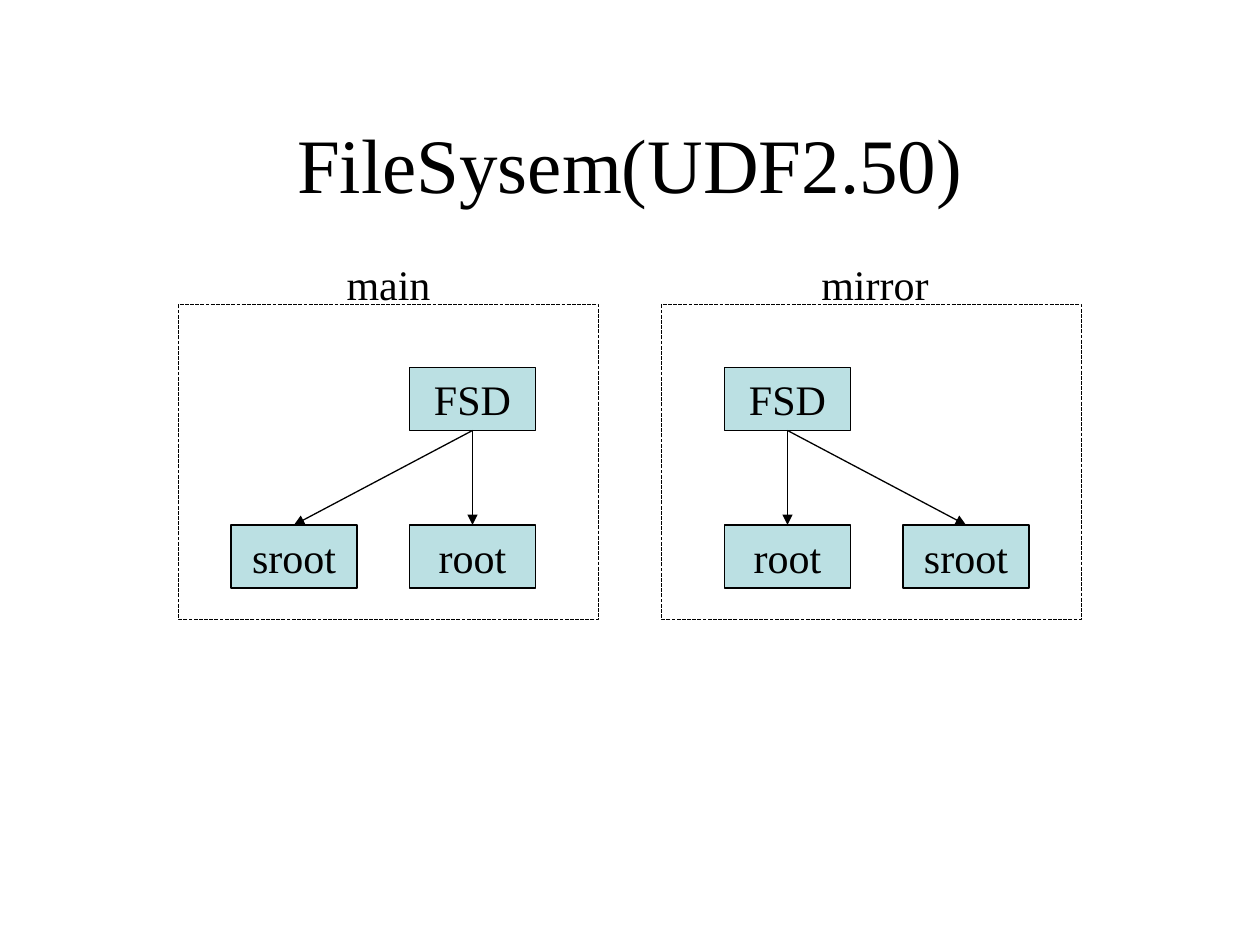
"""Build a slide of the main and mirror file system trees."""
from dataclasses import dataclass

from pptx import Presentation
from pptx.dml.color import RGBColor
from pptx.enum.dml import MSO_LINE
from pptx.enum.shapes import MSO_CONNECTOR, MSO_SHAPE
from pptx.enum.text import MSO_ANCHOR, MSO_AUTO_SIZE, PP_ALIGN
from pptx.oxml.ns import qn
from pptx.util import Pt
from lxml import etree

RECT = MSO_SHAPE.RECTANGLE
LINE = MSO_CONNECTOR.STRAIGHT
DASH = MSO_LINE.SQUARE_DOT
MID = MSO_ANCHOR.MIDDLE
TOP = MSO_ANCHOR.TOP
GROW = MSO_AUTO_SIZE.SHAPE_TO_FIT_TEXT
CENTER = PP_ALIGN.CENTER


@dataclass(frozen=True)
class Theme:
    font: str = "Times New Roman"
    ink: RGBColor = RGBColor(0, 0, 0)
    fill: RGBColor = RGBColor(0xBB, 0xE0, 0xE3)
    head: int = 44
    text: int = 24
    line: float = 0.75


THEME = Theme()
TITLE = "FileSysem(UDF2.50)"
ROOT = "FSD"
TREES = [
    {"name": "main", "left": 102, "label": (88, 64), "trunk": 132,
     "kids": [("sroot", 30), ("root", 132)]},
    {"name": "mirror", "left": 378, "label": (83, 78), "trunk": 36,
     "kids": [("root", 36), ("sroot", 138)]},
]
FRAME_W, FRAME_H, FRAME_Y = 240, 180, 174
BOX_W, BOX_H = 72, 36
ROOT_Y, KID_Y = FRAME_Y + 36, FRAME_Y + 126
LABEL_Y = FRAME_Y - 30


def write(shape, text, size, anchor=MID, wrap=False):
    frame = shape.text_frame
    frame.text = text
    frame.word_wrap = wrap
    frame.vertical_anchor = anchor
    para = frame.paragraphs[0]
    para.alignment = CENTER
    para.font.name = THEME.font
    para.font.size = Pt(size)
    para.font.color.rgb = THEME.ink


def stroke(shape):
    shape.line.color.rgb = THEME.ink
    shape.line.width = Pt(THEME.line)


def rect(slide, *place):
    shape = slide.shapes.add_shape(RECT, *map(Pt, place))
    shape.shadow.inherit = False
    stroke(shape)
    return shape


def box(slide, text, left, top):
    shape = rect(slide, left, top, BOX_W, BOX_H)
    shape.fill.solid()
    shape.fill.fore_color.rgb = THEME.fill
    write(shape, text, THEME.text)
    return shape


def arrow(slide, start, end):
    link = slide.shapes.add_connector(LINE, 0, 0, 0, 0)
    link.begin_connect(start, 2)
    link.end_connect(end, 0)
    stroke(link)
    etree.SubElement(link.line._get_or_add_ln(), qn("a:tailEnd"), type="triangle")
    etree.SubElement(link._element.spPr, qn("a:effectLst"))


def draw(slide, tree):
    left = tree["left"]
    frame = rect(slide, left, FRAME_Y, FRAME_W, FRAME_H)
    frame.fill.background()
    frame.line.dash_style = DASH

    shift, wide = tree["label"]
    place = (left + shift, LABEL_Y, wide, 36)
    label = slide.shapes.add_textbox(*map(Pt, place))
    write(label, tree["name"], THEME.text, TOP)
    label.text_frame.auto_size = GROW

    root = box(slide, ROOT, left + tree["trunk"], ROOT_Y)
    for name, shift in tree["kids"]:
        arrow(slide, root, box(slide, name, left + shift, KID_Y))


def main():
    deck = Presentation()
    deck.slide_width, deck.slide_height = Pt(720), Pt(540)
    slide = deck.slides.add_slide(deck.slide_layouts[5])
    title = slide.shapes.title
    title.left, title.top, title.width, title.height = map(Pt, (54, 48, 612, 90))
    write(title, TITLE, THEME.head, wrap=True)
    for tree in TREES:
        draw(slide, tree)
    deck.save("out.pptx")


if __name__ == "__main__":
    main()
